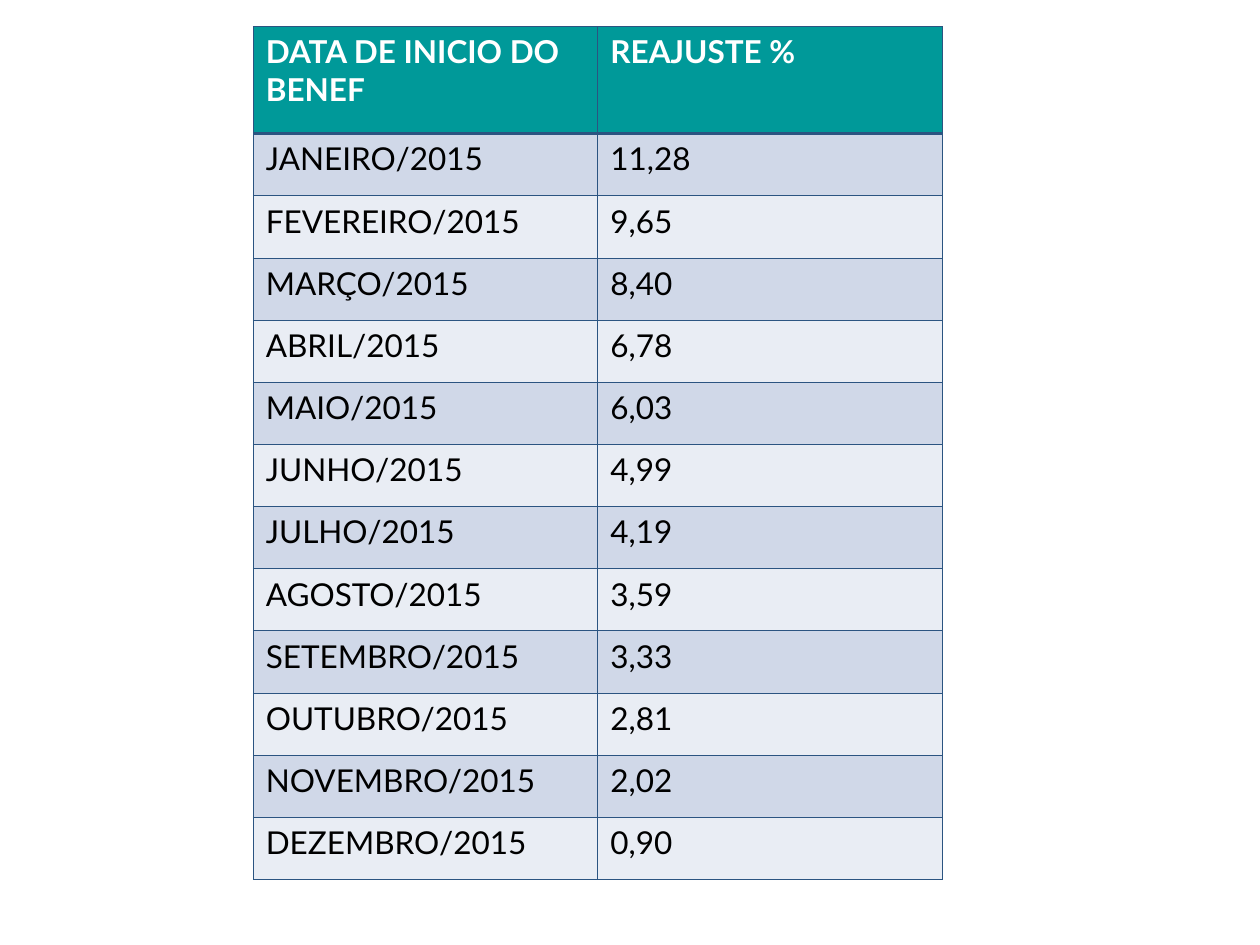
from pptx import Presentation
from pptx.dml.color import RGBColor
from pptx.oxml.ns import qn
from pptx.util import Inches, Pt
from lxml.etree import SubElement

READJUSTMENTS = [
    ("JANEIRO", "11,28"),
    ("FEVEREIRO", "9,65"),
    ("MARÇO", "8,40"),
    ("ABRIL", "6,78"),
    ("MAIO", "6,03"),
    ("JUNHO", "4,99"),
    ("JULHO", "4,19"),
    ("AGOSTO", "3,59"),
    ("SETEMBRO", "3,33"),
    ("OUTUBRO", "2,81"),
    ("NOVEMBRO", "2,02"),
    ("DEZEMBRO", "0,90"),
]


def color(value):
    return RGBColor.from_string(value)


class SlideBuilder:
    font = "Lato"
    size = Pt(18)
    header_fill = "009999"
    header_text = "FFFFFF"
    body_text = "000000"
    bands = ("D0D8E8", "E9EDF4")
    border = "2B5481"
    thin = Pt(0.45)
    thick = Pt(1.47)

    def __init__(self, slide):
        self.slide = slide

    def table(self, rows, left, top, width, height, header_height):
        frame = self.slide.shapes.add_table(
            len(rows), len(rows[0]),
            Inches(left), Inches(top), Inches(width), Inches(height))
        grid = frame.table
        for column in grid.columns:
            column.width = Inches(width / len(rows[0]))
        body_height = (height - header_height) / (len(rows) - 1)
        for index, (row, texts) in enumerate(zip(grid.rows, rows)):
            row.height = Inches(body_height if index else header_height)
            for cell, text in zip(row.cells, texts):
                self.cell(cell, text, index)

    def cell(self, cell, text, row):
        header = row == 0
        self.borders(cell, {
            "L": self.thin,
            "R": self.thin,
            "T": self.thick if row == 1 else self.thin,
            "B": self.thick if header else self.thin,
        })
        cell.fill.solid()
        fill = self.header_fill if header else self.bands[(row - 1) % 2]
        cell.fill.fore_color.rgb = color(fill)
        cell.text_frame.text = text
        font = cell.text_frame.paragraphs[0].runs[0].font
        font.name = self.font
        font.size = self.size
        font.bold = header
        font.color.rgb = color(self.header_text if header else self.body_text)

    def borders(self, cell, widths):
        properties = cell._tc.get_or_add_tcPr()
        for side, width in widths.items():
            line = SubElement(properties, qn(f"a:ln{side}"), w=str(width))
            fill = SubElement(line, qn("a:solidFill"))
            SubElement(fill, qn("a:srgbClr"), val=self.border)


def main():
    deck = Presentation()
    deck.slide_width = Inches(10)
    deck.slide_height = Inches(7.5)
    builder = SlideBuilder(deck.slides.add_slide(deck.slide_layouts[6]))
    header = ("DATA DE INICIO DO BENEF", "REAJUSTE %")
    months = [(f"{month}/2015", rate) for month, rate in READJUSTMENTS]
    builder.table([header, *months], 2.01, 0.21, 5.47, 6.77, 0.85)
    deck.save("out.pptx")


if __name__ == "__main__":
    main()
